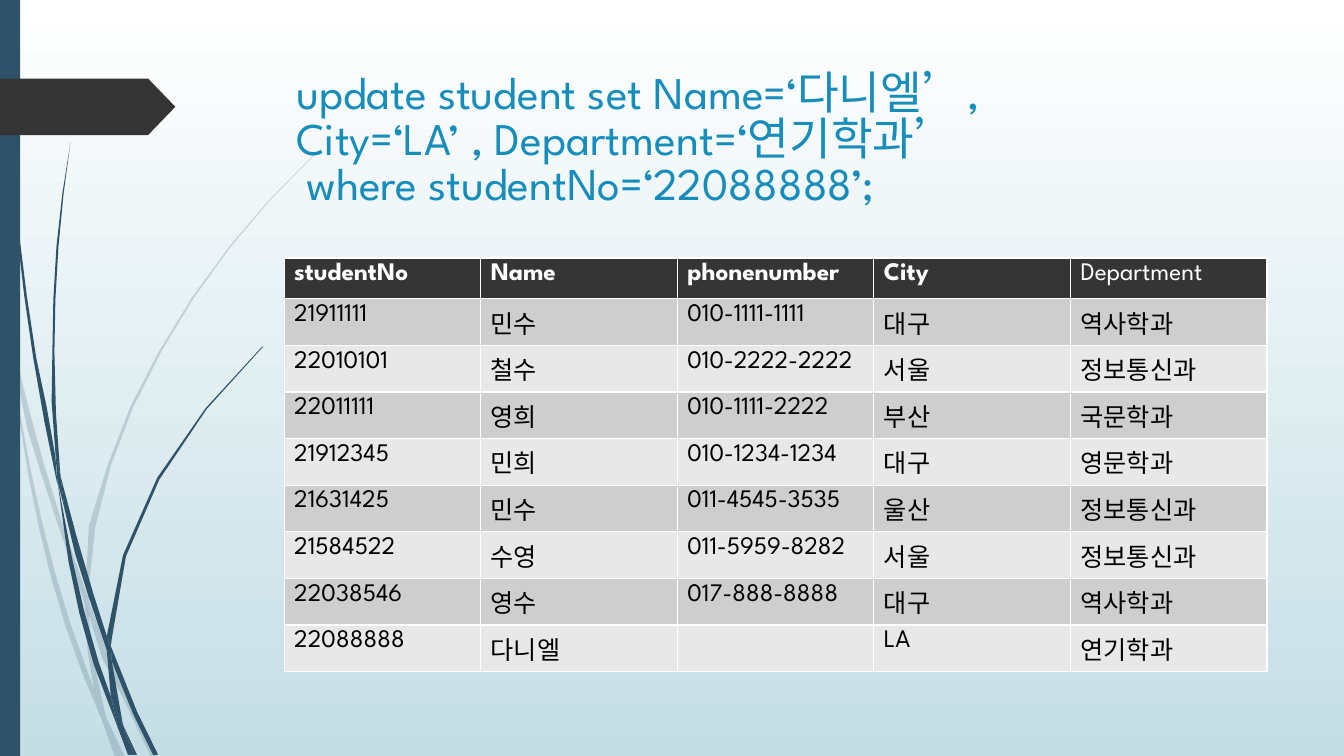
from copy import deepcopy
from itertools import pairwise

from lxml import etree
from pptx import Presentation
from pptx import util as u
from pptx.dml.color import RGBColor
from pptx.enum import shapes, text
from pptx.oxml import ns

NAVY = RGBColor(0x2E, 0x53, 0x69)
CHARCOAL = RGBColor(0x35, 0x35, 0x35)
BLUE = RGBColor(0x17, 0x8D, 0xBB)
WHITE = RGBColor(0xFF, 0xFF, 0xFF)
BLACK = RGBColor(0, 0, 0)
MIST = RGBColor(0xC5, 0xDE, 0xE5)
BANDS = RGBColor(0xE8, 0xE8, 0xE8), RGBColor(0xCE, 0xCE, 0xCE)
FONT = "League Spartan"
GRID = u.Cm(0.0254)
CORNER = 0.9
STRIDE = 60

STATEMENT = "update student set Name=‘다니엘’,\nCity=‘LA’ , Department=‘연기학과’\n where studentNo=‘22088888’;"
STUDENTS = [
    ("studentNo", "Name", "phonenumber", "City", "Department"),
    ("21911111", "민수", "010-1111-1111", "대구", "역사학과"),
    ("22010101", "철수", "010-2222-2222", "서울", "정보통신과"),
    ("22011111", "영희", "010-1111-2222", "부산", "국문학과"),
    ("21912345", "민희", "010-1234-1234", "대구", "영문학과"),
    ("21631425", "민수", "011-4545-3535", "울산", "정보통신과"),
    ("21584522", "수영", "011-5959-8282", "서울", "정보통신과"),
    ("22038546", "영수", "017-888-8888", "대구", "역사학과"),
    ("22088888", "다니엘", "", "LA", "연기학과"),
]

PALE_GRASS = [
    [(11, 350), (0, 282), (0, 299)],
    [(58, 522), (84, 599), (85, 586), (62, 520), (14, 345), (17, 376)],
    [(88, 596), (88, 610), (123, 694), (150, 751), (155, 751), (127, 692)],
    [(119, 751), (124, 751), (105, 711)],
    [(93, 683), (70, 619), (31, 469), (11, 350), (28, 470), (65, 621), (101, 714)],
    [(84, 599), (87, 646), (93, 683), (105, 711), (91, 646), (88, 608)],
    [(88, 584), (110, 462), (160, 349), (229, 245), (312, 154),
     (312, 153), (228, 244), (158, 348), (107, 461), (85, 584), (88, 596)],
    [(101, 714), (114, 751), (119, 751)],
    [(88, 610), (88, 596), (85, 586), (84, 599)],
    [(93, 683), (101, 714), (119, 751), (105, 711)],
]
DARK_GRASS = [
    [(7, 110), (17, 233), (33, 355), (57, 481), (55, 453),
     (36, 355), (19, 232), (8, 109), (4, 0), (3, 0)],
    [(88, 592), (106, 645), (106, 631), (93, 590), (60, 472), (64, 505)],
    [(110, 641), (111, 656), (132, 708), (152, 749), (157, 749), (136, 706)],
    [(110, 691), (98, 657), (72, 556), (57, 477), (68, 557), (93, 659), (117, 722)],
    [(60, 472), (54, 349), (58, 245), (70, 141), (56, 245), (52, 349), (55, 449)],
    [(133, 749), (136, 749), (122, 719)],
    [(57, 477), (64, 505), (60, 472), (55, 449)],
    [(111, 633), (125, 552), (158, 476), (205, 406), (261, 344),
     (260, 344), (204, 405), (156, 474), (122, 551), (106, 631), (110, 641)],
    [(117, 722), (127, 749), (131, 749)],
    [(106, 645), (110, 691), (122, 719), (111, 656)],
    [(106, 645), (111, 656), (110, 641), (106, 631)],
    [(110, 691), (117, 722), (130, 749), (133, 749), (122, 719)],
]
POINTER = [(0, 78), (147, 78), (174, 106), (147, 134), (0, 134)]


def paint(shape, colour, alpha=100):
    shape.shadow.inherit = False
    shape.fill.solid()
    shape.fill.fore_color.rgb = colour
    shape.line.fill.background()
    if alpha < 100:
        tone = shape.fill._xPr.find(".//" + ns.qn("a:srgbClr"))
        etree.SubElement(tone, ns.qn("a:alpha")).set("val", str(alpha * 1000))


def smooth(outline):
    knots = [complex(*knot) for knot in outline]
    chords = [end - start for start, end in pairwise(knots + knots[:1])]
    bends = []
    for before, after in zip(chords[-1:] + chords, chords):
        a, b = before / abs(before), after / abs(after)
        blend = a * abs(after) + b * abs(before)
        bends.append(blend / abs(blend) if (a * b.conjugate()).real > CORNER else None)
    curve = []
    for start, chord, leave, arrive in zip(knots, chords, bends, bends[1:] + bends[:1]):
        if leave is None and arrive is None:
            curve.append(start)
            continue
        ahead = chord / abs(chord)
        leaving = 2 * ahead - arrive if leave is None else leave
        arriving = 2 * ahead - leave if arrive is None else arrive
        steps = max(1, round(abs(chord) / STRIDE))
        for step in range(steps):
            t = step / steps
            curve.append(start + chord * t * t * (3 - 2 * t) + abs(chord) * (
                leaving * t * (1 - t) ** 2 - arriving * t * t * (1 - t)))
    return curve


def draw_outline(slide, box, outline, colour, alpha=100):
    left, top = box[:2]
    points = [(left + p.real * GRID, top + p.imag * GRID) for p in smooth(outline)]
    pen = slide.shapes.build_freeform(*points[0], scale=1.0)
    pen.add_line_segments(points[1:], close=True)
    paint(pen.convert_to_shape(), colour, alpha)


def draw_backdrop(slide, box):
    left, top, width, height = box
    sky = slide.background.fill
    sky.gradient()
    sky.gradient_angle = 270
    for stop, colour in zip(sky.gradient_stops, (WHITE, MIST)):
        stop.color.rgb = colour
    for blade in PALE_GRASS:
        draw_outline(slide, box, blade, NAVY, 20)
    for blade in DARK_GRASS:
        draw_outline(slide, box, blade, NAVY)
    edge = slide.shapes.add_shape(shapes.MSO_SHAPE.RECTANGLE, left, top, u.Cm(0.51), height)
    paint(edge, NAVY)
    draw_outline(slide, box, POINTER, CHARCOAL)


def format_run(run, size, colour, bold=False):
    for name, value in {"name": FONT, "size": u.Pt(size), "bold": bold}.items():
        setattr(run.font, name, value)
    run.font.color.rgb = colour


def write_statement(slide, box):
    statement = slide.shapes.title
    for name, value in zip(("left", "top", "width", "height"), box):
        setattr(statement, name, value)
    frame = statement.text_frame
    settings = {"word_wrap": True, "auto_size": text.MSO_AUTO_SIZE.NONE,
                "vertical_anchor": text.MSO_ANCHOR.TOP}
    for name, value in settings.items():
        setattr(frame, name, value)
    query = frame.paragraphs[0]
    query.text = STATEMENT.replace("\n", "\v")
    query.alignment = text.PP_ALIGN.LEFT
    query.line_spacing = 0.83
    for clause in query.runs:
        format_run(clause, 32.4, BLUE)
    for line_break in query._p.findall(ns.qn("a:br")):
        line_break.insert(0, deepcopy(query.runs[0]._r.rPr))


def fill_students(slide, box):
    students = slide.shapes.add_table(len(STUDENTS), len(STUDENTS[0]), *box).table
    for r, record in enumerate(STUDENTS):
        for c, value in enumerate(record):
            cell = students.cell(r, c)
            cell.fill.solid()
            cell.fill.fore_color.rgb = BANDS[r % 2] if r else CHARCOAL
            if value:
                cell.text = value
                bold = r == 0 and value != "Department"
                format_run(cell.text_frame.paragraphs[0].runs[0], 18,
                           BLACK if r else WHITE, bold)


def main():
    deck = Presentation()
    deck.slide_width, deck.slide_height = u.Cm(33.87), u.Cm(19.05)
    slide = deck.slides.add_slide(deck.slide_layouts[5])
    draw_backdrop(slide, (0, 0, deck.slide_width, deck.slide_height))
    write_statement(slide, (u.Cm(7.21), u.Cm(1.73), u.Cm(24.77), u.Cm(3.56)))
    fill_students(slide, (u.Cm(7.16), u.Cm(6.5), u.Cm(24.77), u.Cm(9.27)))
    deck.save("out.pptx")


if __name__ == "__main__":
    main()
